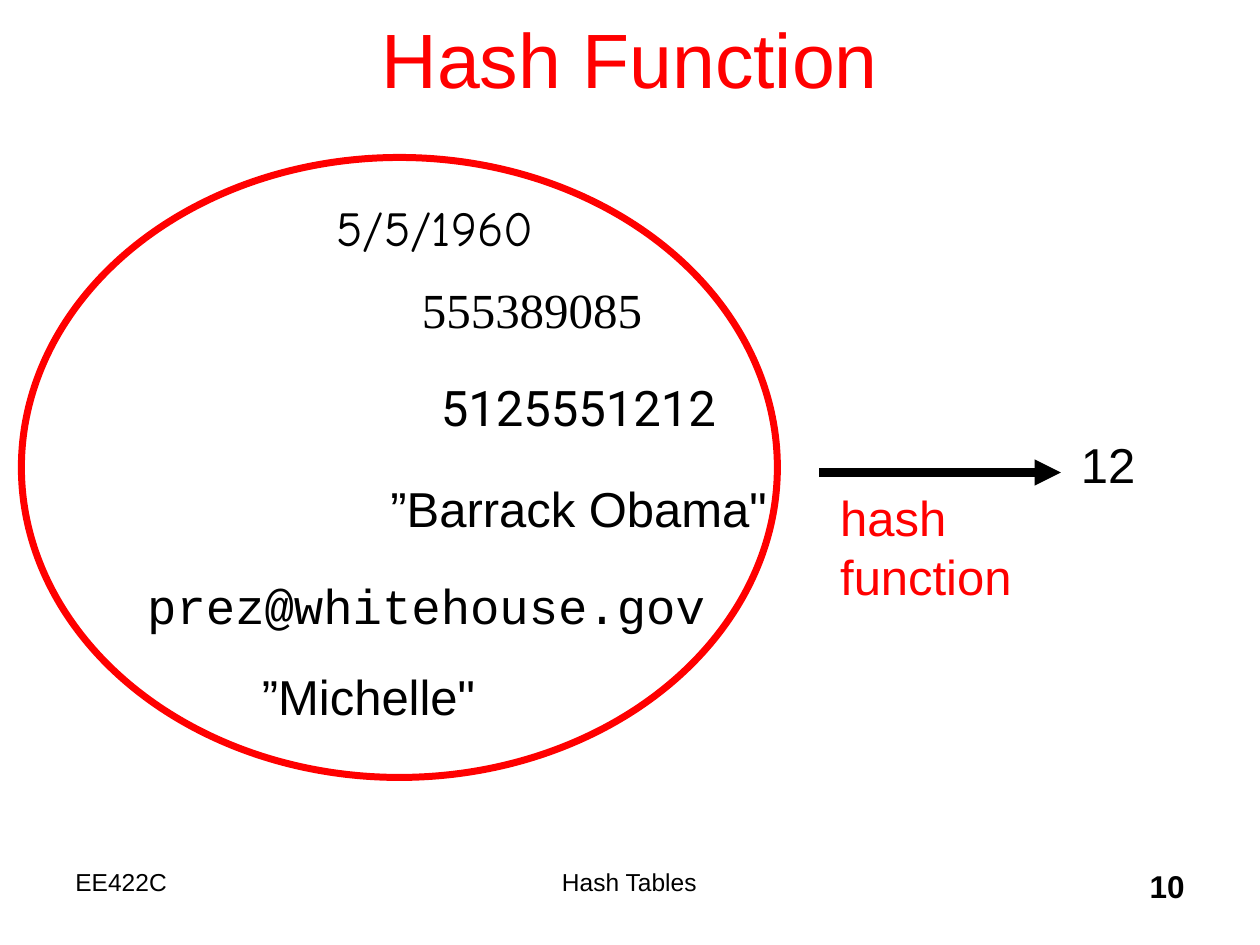
from lxml.etree import SubElement as Sub
from pptx import Presentation
from pptx.dml.color import RGBColor as Color
from pptx.enum.shapes import MSO_CONNECTOR as Conn, MSO_SHAPE as Shape
from pptx.enum.text import MSO_ANCHOR as Anchor, MSO_AUTO_SIZE as Fit, PP_ALIGN as Align
from pptx.oxml.ns import qn
from pptx.util import Inches, Pt

COLORS = {"red": "FF0000", "black": "000000"}

KEYS = [
    ("5/5/1960", 2.57, 1.52, 1.98, "Comic Neue"),
    ("555389085", 3.25, 2.17, 1.95, "Times New Roman"),
    ("5125551212", 3.4, 2.95, 2.39, "Roboto"),
    ("”Barrack Obama\"", 3, 3.75, 3.22, "Arial"),
    ("prez@whitehouse.gov", 1.07, 4.52, 4.68, "Courier New"),
    ("”Michelle\"", 1.98, 5.24, 1.91, "Arial"),
]

FOOTER = [
    ("EE422C", 0.5, 2.5, 14, Align.LEFT, False),
    ("Hash Tables", 3.08, 3.83, 14, Align.CENTER, False),
    ("10", 7.42, 2.08, 18, Align.RIGHT, True),
]


def color(name):
    return Color.from_string(COLORS[name])


def write(frame, text, size, font="Arial", ink="black", align=Align.LEFT, bold=False):
    para = frame.paragraphs[0]
    para.text = text
    para.alignment = align
    para.font.name = font
    para.font.size = Pt(size)
    para.font.bold = bold
    para.font.color.rgb = color(ink)


def add_title(slide, text):
    title = slide.shapes.title
    title.left, title.top = Inches(0.75), Inches(-0.17)
    title.width, title.height = Inches(8.5), Inches(1.25)
    title.text_frame.vertical_anchor = Anchor.MIDDLE
    write(title.text_frame, text, 44, ink="red", align=Align.CENTER)


def add_label(slide, text, left, top, width, font="Arial", ink="black", height=0.57):
    box = slide.shapes.add_textbox(Inches(left), Inches(top), Inches(width), Inches(height))
    frame = box.text_frame
    frame.word_wrap = False
    frame.auto_size = Fit.SHAPE_TO_FIT_TEXT
    write(frame, text, 28, font, ink)


def add_footer(slide, text, left, width, size, align, bold):
    box = slide.shapes.add_textbox(Inches(left), Inches(6.83), Inches(width), Inches(0.5))
    box.text_frame.word_wrap = True
    write(box.text_frame, text, size, align=align, bold=bold)


def add_oval(slide, left, top, width, height):
    oval = slide.shapes.add_shape(
        Shape.OVAL, Inches(left), Inches(top), Inches(width), Inches(height))
    oval.shadow.inherit = False
    oval.fill.background()
    oval.line.color.rgb = color("red")
    oval.line.width = Pt(4)


def add_arrow(slide, start, end, y):
    arrow = slide.shapes.add_connector(
        Conn.STRAIGHT, Inches(start), Inches(y), Inches(end), Inches(y))
    arrow.line.color.rgb = color("black")
    arrow.line.width = Pt(5)
    props = arrow.element.spPr
    Sub(props.find(qn("a:ln")), qn("a:tailEnd"), type="triangle")
    Sub(props, qn("a:effectLst"))


def main():
    deck = Presentation()
    deck.slide_width, deck.slide_height = Inches(10), Inches(7.5)
    slide = deck.slides.add_slide(deck.slide_layouts[5])
    add_title(slide, "Hash Function")
    add_oval(slide, 0.17, 1.25, 6, 4.92)
    for key in KEYS:
        add_label(slide, *key)
    add_arrow(slide, 6.5, 8.42, 3.75)
    add_label(slide, "hash\nfunction", 6.57, 3.82, 1.57, ink="red", height=1.03)
    add_label(slide, "12", 8.48, 3.4, 0.64)
    for part in FOOTER:
        add_footer(slide, *part)
    deck.save("out.pptx")


if __name__ == "__main__":
    main()
